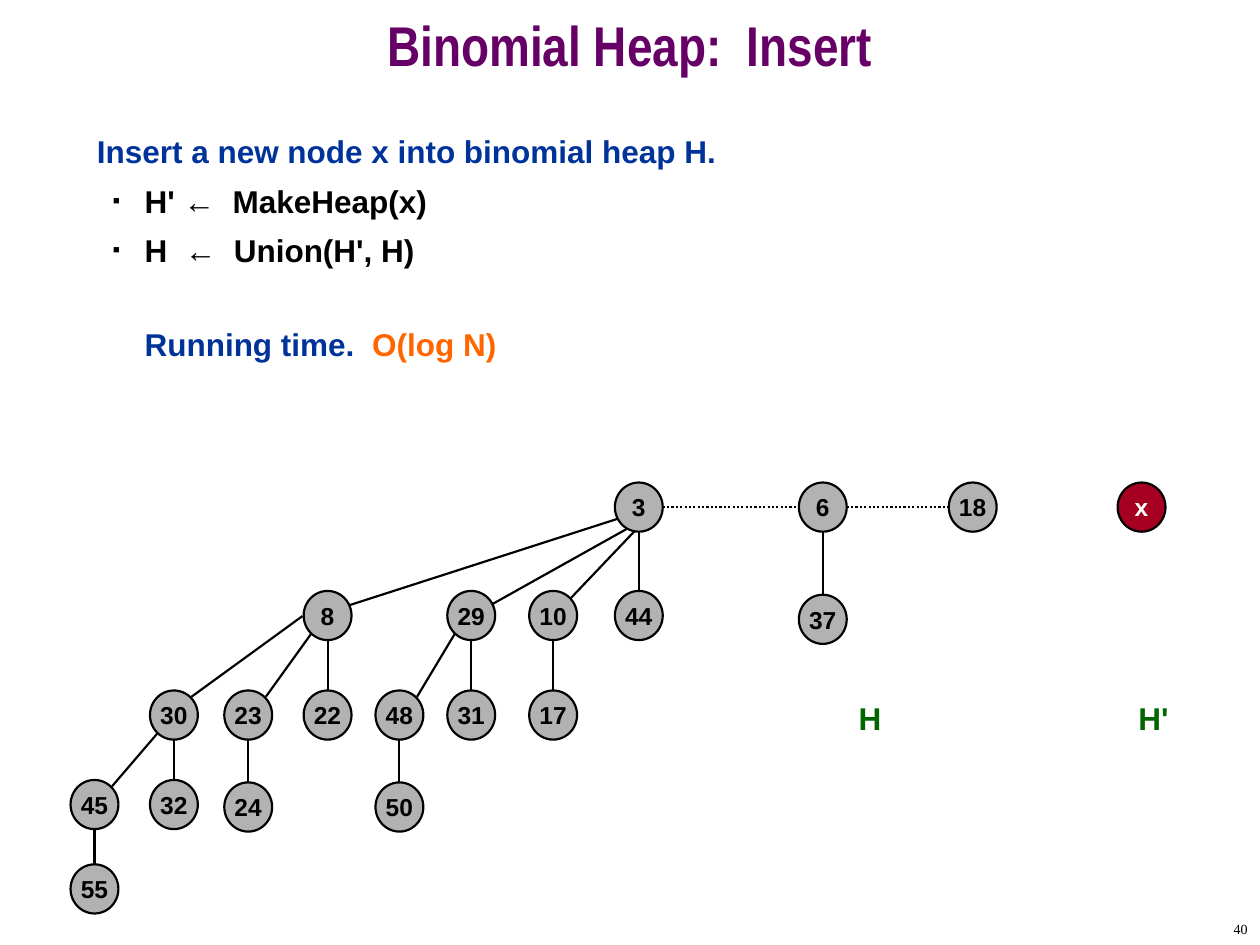
from pptx import Presentation
from pptx.dml.color import RGBColor
from pptx.enum.dml import MSO_LINE
from pptx.enum.shapes import MSO_CONNECTOR, MSO_SHAPE
from pptx.enum.text import MSO_ANCHOR, PP_ALIGN
from pptx.oxml.ns import qn
from pptx.util import Inches, Pt
from lxml import etree

CENTER, RIGHT = PP_ALIGN.CENTER, PP_ALIGN.RIGHT
MIDDLE, TOP = MSO_ANCHOR.MIDDLE, MSO_ANCHOR.TOP
OVAL, STRAIGHT = MSO_SHAPE.OVAL, MSO_CONNECTOR.STRAIGHT
DOTTED = MSO_LINE.ROUND_DOT

COLORS = {
    "title": "660066", "heading": "003399", "black": "000000",
    "cost": "FF6600", "node": "B2B2B2", "new": "A50021",
    "white": "FFFFFF", "label": "006600",
}
NODE_W, NODE_H = 0.38, 0.39

# Node key: left, top
NODES = {
    "3": (4.88, 3.83), "6": (6.34, 3.83), "18": (7.53, 3.83),
    "8": (2.41, 4.69), "29": (3.55, 4.69), "10": (4.2, 4.69),
    "44": (4.88, 4.69), "37": (6.34, 4.72),
    "30": (1.19, 5.48), "23": (1.78, 5.48), "22": (2.41, 5.48),
    "48": (2.98, 5.48), "31": (3.55, 5.48), "17": (4.2, 5.48),
    "45": (0.56, 6.19), "32": (1.19, 6.19), "24": (1.78, 6.21),
    "50": (2.98, 6.21), "55": (0.56, 6.86),
}
# Parent and the child straight below it
BELOW = [("3", "44"), ("6", "37"), ("8", "22"), ("29", "31"), ("10", "17"),
         ("30", "32"), ("23", "24"), ("48", "50"), ("45", "55")]
# Slanted edges, from child to parent
SLANTED = [
    (2.69, 4.83, 5.05, 4.07), (3.88, 4.81, 5.06, 4.15),
    (4.48, 4.8, 5.08, 4.17), (1.52, 5.53, 2.4, 4.89),
    (2.11, 5.53, 2.47, 5.03), (3.31, 5.53, 3.61, 5.03),
    (0.89, 6.24, 1.25, 5.82),
]
ROOTS = ["3", "6", "18"]


def rgb(name):
    return RGBColor.from_string(COLORS[name])


def add_run(p, text, size=18, color="black", font="Arial", bold=True):
    r = p.add_run()
    r.text = text
    r.font.size, r.font.name, r.font.bold = Pt(size), font, bold
    r.font.color.rgb = rgb(color)


def add_text(s, text, x, y, w, h, align=CENTER, anchor=TOP, **fmt):
    tf = s.shapes.add_textbox(Inches(x), Inches(y), Inches(w), Inches(h)).text_frame
    tf.word_wrap = True
    tf.vertical_anchor = anchor
    p = tf.paragraphs[0]
    p.alignment = align
    add_run(p, text, **fmt)


def set_title(s, text):
    sp = s.shapes.title
    sp.left, sp.top, sp.width, sp.height = Inches(0), Inches(0), Inches(10), Inches(0.83)
    sp.text_frame.vertical_anchor = MIDDLE
    p = sp.text_frame.paragraphs[0]
    p.alignment, p.line_spacing = CENTER, 0.7
    add_run(p, text, size=32, color="title", font="Arial Narrow")


def indent(p, left, first=0.0):
    pPr = p._p.get_or_add_pPr()
    pPr.set("marL", str(Inches(left)))
    pPr.set("indent", str(Inches(first)))
    return pPr


def add_bullet(tf, text):
    p = tf.add_paragraph()
    pPr = indent(p, 0.38, -0.25)
    color = etree.SubElement(pPr, qn("a:buClr"))
    etree.SubElement(color, qn("a:srgbClr"), val=COLORS["black"])
    etree.SubElement(pPr, qn("a:buSzPct"), val="35000")
    etree.SubElement(pPr, qn("a:buFont"), typeface="Arial")
    etree.SubElement(pPr, qn("a:buChar"), char="■")
    p.level, p.line_spacing, p.space_before = 1, 1.1, Pt(4.5)
    add_run(p, text)


def add_body(s):
    tf = s.shapes.add_textbox(Inches(0.67), Inches(1), Inches(8.58), Inches(2.2)).text_frame
    tf.word_wrap = True
    add_run(tf.paragraphs[0], "Insert a new node x into binomial heap H.", color="heading")
    for text in ("H' ←  MakeHeap(x)", "H  ←  Union(H', H)"):
        add_bullet(tf, text)
    p = tf.add_paragraph()
    indent(p, 0.38)
    p.space_before = Pt(32)
    add_run(p, "Running time.  ", color="heading")
    add_run(p, "O(log N)", color="cost")


def add_edge(s, x1, y1, x2, y2, dash=None):
    line = s.shapes.add_connector(STRAIGHT, Inches(x1), Inches(y1), Inches(x2), Inches(y2))
    line.line.color.rgb = rgb("black")
    line.line.width = Pt(1.25)
    if dash:
        line.line.dash_style = dash
    etree.SubElement(line._element.spPr, qn("a:effectLst"))


def add_node(s, key, x, y, fill="node", color="black"):
    sp = s.shapes.add_shape(OVAL, Inches(x), Inches(y), Inches(NODE_W), Inches(NODE_H))
    sp.shadow.inherit = False
    sp.fill.solid()
    sp.fill.fore_color.rgb = rgb(fill)
    sp.line.color.rgb = rgb("black")
    sp.line.width = Pt(1.25)
    tf = sp.text_frame
    tf.word_wrap = False
    tf.vertical_anchor = MIDDLE
    p = tf.paragraphs[0]
    p.alignment = CENTER
    add_run(p, key, size=14, color=color)


def add_heap(s):
    # Edges lie behind the nodes
    for ends in SLANTED:
        add_edge(s, *ends)
    for parent, child in BELOW:
        x, top = NODES[parent]
        center = x + NODE_W / 2
        add_edge(s, center, top + NODE_H, center, NODES[child][1])
    # Root list
    for a, b in zip(ROOTS, ROOTS[1:]):
        x, top = NODES[a]
        y = top + NODE_H / 2
        add_edge(s, x + NODE_W, y, NODES[b][0], y, dash=DOTTED)
    for key, (x, y) in NODES.items():
        add_node(s, key, x, y)


def main():
    prs = Presentation()
    prs.slide_width, prs.slide_height = Inches(10), Inches(7.5)
    s = prs.slides.add_slide(prs.slide_layouts[5])
    set_title(s, "Binomial Heap:  Insert")
    add_body(s)

    # Existing heap, new node and their names
    add_heap(s)
    add_node(s, "x", 8.87, 3.83, fill="new", color="white")
    add_text(s, "H", 6.56, 5.5, 0.69, 0.4, color="label")
    add_text(s, "H'", 8.81, 5.5, 0.69, 0.4, color="label")

    # Slide number
    add_text(s, "40", 7.92, 7.25, 2.08, 0.25, align=RIGHT, anchor=MIDDLE,
             size=8, font="Times New Roman", bold=False)
    prs.save("out.pptx")


if __name__ == "__main__":
    main()
